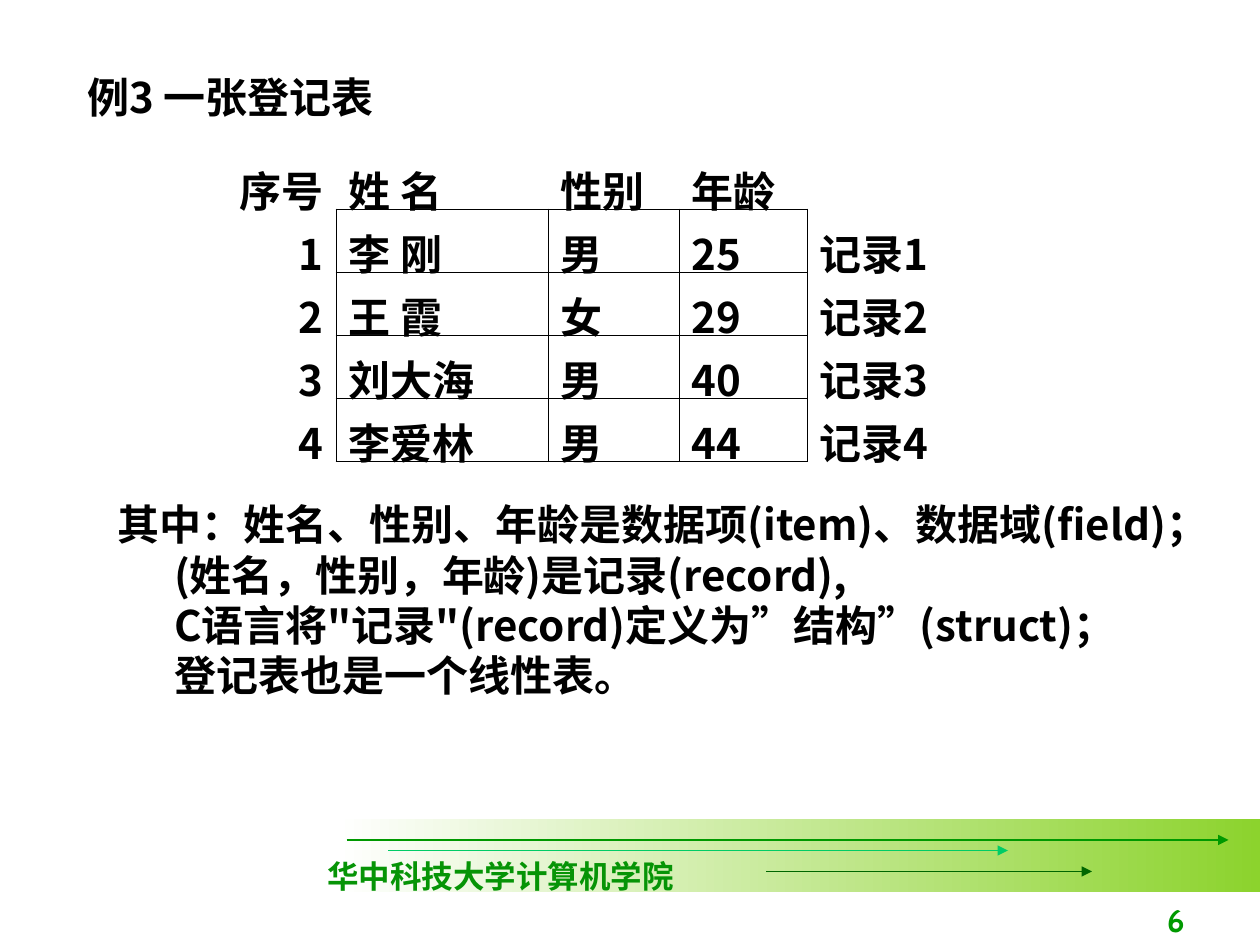
from lxml.etree import SubElement
from pptx import Presentation
from pptx.dml.color import RGBColor
from pptx.enum.shapes import MSO_CONNECTOR as Connector, MSO_SHAPE as Shape
from pptx.enum.text import MSO_ANCHOR as Anchor, MSO_AUTO_SIZE as Fit, PP_ALIGN as Align
from pptx.oxml.ns import qn
from pptx.util import Inches, Pt

CJK = "Noto Sans CJK SC"
ink = RGBColor.from_string

deck = Presentation()
deck.slide_width, deck.slide_height = Inches(10), Inches(7.5)
slide = deck.slides.add_slide(deck.slide_layouts[5])
shapes = slide.shapes


def grid(*counts):
    return [int(count * deck.slide_width / 120) for count in counts]


def style(frame, size=24, color="000000", face=CJK, align=Align.LEFT):
    for paragraph in frame.paragraphs:
        paragraph.alignment = align
        for run in paragraph.runs:
            run.font.size, run.font.bold, run.font.name = Pt(size), True, face
            run.font.color.rgb = ink(color)
            SubElement(run.font._element, qn("a:ea"), typeface=CJK)


band = shapes.add_shape(Shape.RECTANGLE, *grid(32, 78, 88, 7))
band.shadow.inherit = False
band.line.fill.background()
band.fill.gradient()
band.fill.gradient_angle = 0
for stop, color in zip(band.fill.gradient_stops, ("FFFFFF", "8CD32D")):
    stop.color.rgb = ink(color)

for start, end, row, color in (
    (33, 117, 80, "009900"), (37, 96, 81, "00CC66"), (73, 104, 83, "006600")
):
    arrow = shapes.add_connector(Connector.STRAIGHT, *grid(start, row, end, row))
    arrow.line.color.rgb = ink(color)
    arrow.line.width = Pt(0.75)
    SubElement(arrow.line._get_or_add_ln(), qn("a:tailEnd"), type="triangle")
    SubElement(arrow._element.spPr, qn("a:effectLst"))

school = shapes.add_textbox(*grid(30, 81, 35.4, 4.8)).text_frame
school.word_wrap = False
school.text = "华中科技大学计算机学院"
style(school, 18, "069406", "Times New Roman")

page = shapes.add_textbox(*grid(89, 84, 25, 6)).text_frame
page.word_wrap = True
page.vertical_anchor = Anchor.BOTTOM
page.text = "6"
style(page, 18, "009900", "Cabin", Align.RIGHT)

title = shapes.title
title.left, title.top, title.width, title.height = grid(7.1, 6.2, 50, 6)
heading = title.text_frame
heading.text = "例3 一张登记表"
heading.vertical_anchor = Anchor.TOP
heading.auto_size = Fit.NONE
style(heading)

notes = shapes.add_textbox(*grid(10, 46.9, 113.4, 20.4)).text_frame
notes.word_wrap = True
notes.text = """其中：姓名、性别、年龄是数据项(item)、数据域(field)；
(姓名，性别，年龄)是记录(record),
C语言将"记录"(record)定义为”结构”(struct)；
登记表也是一个线性表。"""
style(notes)
for detail in notes.paragraphs[1:]:
    detail._p.get_or_add_pPr().set("marL", str(Inches(0.45)))

records = (
    ("序号", "姓 名", "性别", "年龄", ""),
    ("1", "李 刚", "男", "25", "记录1"),
    ("2", "王 霞", "女", "29", "记录2"),
    ("3", "刘大海", "男", "40", "记录3"),
    ("4", "李爱林", "男", "44", "记录4"),
)
widths = grid(20.2, 20.2, 12.5, 12.2, 35.8)
register = shapes.add_table(5, 5, *grid(11.8, 13.9, 100.9, 30)).table
register.first_row = register.horz_banding = False
for column, width in zip(register.columns, widths):
    column.width = width

for row, record in enumerate(records):
    for col, entry in enumerate(record):
        cell = register.cell(row, col)
        cell.text = entry
        cell.margin_top, cell.margin_bottom = Inches(0.1), 0
        style(cell.text_frame, align=Align.LEFT if col else Align.RIGHT)
        inner = 1 <= col <= 3
        edges = {
            "a:lnL": row and 1 <= col,
            "a:lnR": row and col <= 3,
            "a:lnT": row and inner,
            "a:lnB": inner,
        }
        for edge, drawn in edges.items():
            border = SubElement(cell._tc.get_or_add_tcPr(), qn(edge), w=str(Pt(0.45)))
            if drawn:
                paint = SubElement(border, qn("a:solidFill"))
                SubElement(paint, qn("a:srgbClr"), val="000000")
            else:
                SubElement(border, qn("a:noFill"))
        cell.fill.background()

deck.save("out.pptx")
